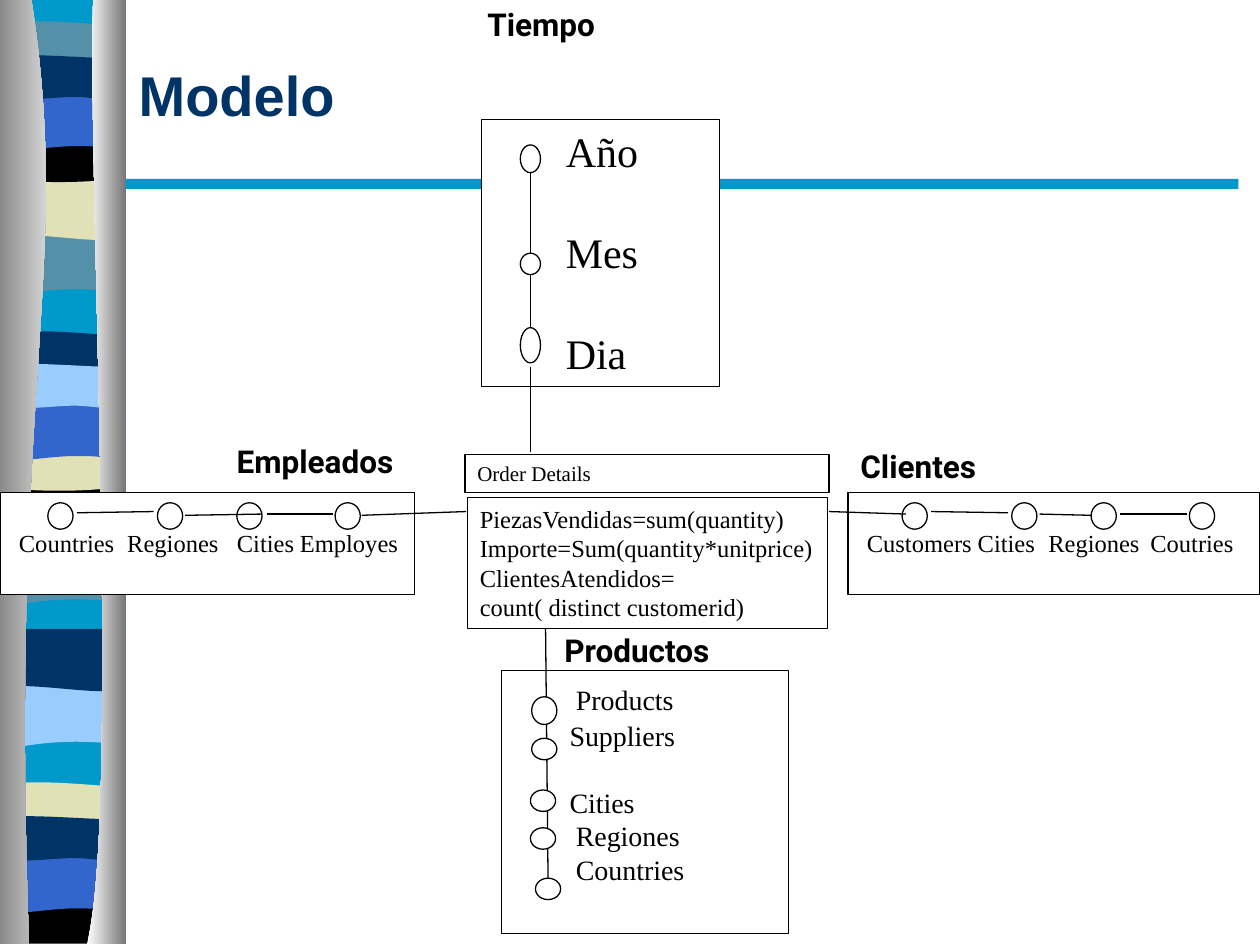
from lxml.etree import SubElement
from pptx import Presentation
from pptx.dml.color import RGBColor
from pptx.enum.shapes import MSO_CONNECTOR, MSO_SHAPE
from pptx.enum.text import MSO_ANCHOR, PP_ALIGN
from pptx.oxml.ns import qn
from pptx.oxml.xmlchemy import OxmlElement
from pptx.util import Inches, Pt

BLACK = RGBColor(0x00, 0x00, 0x00)
WHITE = RGBColor(0xFF, 0xFF, 0xFF)
NAVY = RGBColor(0x00, 0x33, 0x66)
BLUE = RGBColor(0x33, 0x66, 0xCC)
CYAN = RGBColor(0x00, 0x99, 0xCC)
SKY = RGBColor(0x99, 0xCC, 0xFF)
TEAL = RGBColor(0x54, 0x90, 0xA8)
SAND = RGBColor(0xE1, 0xE1, 0xB7)
GREY = RGBColor(0x76, 0x76, 0x76)

# Band outlines relative to their top: two numbers end a line, six a Bezier curve
FLAT = [(0.98, 0), (0.98, 7.47), (-0.05, 7.47), (-0.05, 0)]
WAVE = [(0.98, 0), (0.98, 0.47), (0.27, 0.39, 0.13, 0.55, -0.05, 0.47), (-0.05, 0)]
SWELL = [(0.98, 0), (0.98, 0.47), (0.81, 0.55, 0.27, 0.41, -0.05, 0.47), (-0.05, 0)]
CREST = [(0.98, 0.05), (0.98, 0.29), (0.81, 0.33, 0.13, 0.33, -0.05, 0.29), (-0.05, 0.05),
         (0.02, 0, 0.18, 0.01, 0.35, 0.01), (0.52, 0.01, 0.85, 0.04, 0.98, 0.05)]
BOWL = [(0.98, 0), (0.98, 0.32), (0.81, 0.38, 0.13, 0.38, -0.05, 0.32), (-0.05, 0),
        (0.58, 0.05, 0.77, 0, 0.98, 0)]
BASE = [(0.97, 0), (0.97, 0.37), (-0.05, 0.37), (-0.05, 0), (0.58, 0.05, 0.76, 0, 0.97, 0)]
ARCH = [(0.98, 0), (0.98, 0.47), (0.82, 0.42, 0.76, 0.42, 0.59, 0.42),
        (0.42, 0.42, 0.11, 0.47, -0.05, 0.47), (-0.05, 0)]
TILT = [(0.98, 0.05), (0.98, 0.36), (0.92, 0.41, 0.76, 0.36, 0.59, 0.36),
        (0.42, 0.36, 0.06, 0.41, -0.05, 0.36), (-0.05, 0.05),
        (0.1, 0, 0.65, 0.05, 0.82, 0.05), (0.99, 0.05, 0.95, 0.05, 0.98, 0.05)]
LEFT_EDGE = [(0.25, 0), (0.58, 2.16, 0.07, 2.96, 0.23, 7.49), (-0.1, 7.49), (-0.1, 0)]
RIGHT_EDGE = [(0.74, 0), (0.69, 1.25, 0.96, 6.46, 0.69, 7.49), (1, 7.49), (1, 0)]

BANDS = [
    (FLAT, 0, CYAN), (WAVE, 1.85, TEAL), (SWELL, 1.41, SAND), (CREST, 0.16, TEAL),
    (BOWL, 1.08, BLACK), (ARCH, 0.74, BLUE), (TILT, 0.41, NAVY),
    (WAVE, 4.31, TEAL), (SWELL, 3.86, BLACK), (CREST, 2.62, NAVY),
    (BOWL, 3.53, SAND), (ARCH, 3.2, BLUE), (TILT, 2.86, SKY),
    (WAVE, 5.44, SKY), (SWELL, 4.99, NAVY), (CREST, 6.2, SAND),
    (BASE, 7.12, BLACK), (ARCH, 6.79, BLUE), (TILT, 6.45, NAVY),
]


def bend_curves(shape, outline):
    """Join each three lines that stand for a curve's points into one Bezier segment."""
    lines = iter(list(shape._element.iter(qn("a:lnTo"))))
    for segment in outline[1:]:
        parts = [next(lines) for _ in range(len(segment) // 2)]
        if len(parts) == 3:
            curve = OxmlElement("a:cubicBezTo")
            parts[0].addprevious(curve)
            for part in parts:
                curve.append(part[0])
                part.getparent().remove(part)


def add_outline(slide, outline, top=0):
    points = [(Inches(segment[i]), Inches(top + segment[i + 1]))
              for segment in outline for i in range(0, len(segment), 2)]
    builder = slide.shapes.build_freeform(*points[0], scale=1.0)
    builder.add_line_segments(points[1:], close=False)
    builder.add_line_segments([], close=True)
    shape = builder.convert_to_shape()
    bend_curves(shape, outline)
    shape.shadow.inherit = False
    shape.line.fill.background()
    return shape


def add_edge(slide, outline, colors):
    fill = add_outline(slide, outline).fill
    fill.gradient()
    fill.gradient_angle = 0
    for stop, color in zip(fill.gradient_stops, colors):
        stop.color.rgb = color


def add_preset(slide, kind, box, fill=None, line=BLACK):
    shape = slide.shapes.add_shape(kind, *map(Inches, box))
    shape.shadow.inherit = False
    if fill is None:
        shape.fill.background()
    else:
        shape.fill.solid()
        shape.fill.fore_color.rgb = fill
    if line is None:
        shape.line.fill.background()
    else:
        shape.line.color.rgb = line
        shape.line.width = Pt(0.75)
    return shape


def add_node(slide, left, top, width=0.2, height=0.21, fill=WHITE):
    add_preset(slide, MSO_SHAPE.OVAL, (left, top, width, height), fill)


def add_line(slide, x1, y1, x2, y2):
    line = slide.shapes.add_connector(MSO_CONNECTOR.STRAIGHT, *map(Inches, (x1, y1, x2, y2)))
    line.line.color.rgb = BLACK
    line.line.width = Pt(0.75)
    SubElement(line._element.spPr, qn("a:effectLst"))


def write(shape, lines, size, name="Times New Roman", color=BLACK, bold=False):
    frame = shape.text_frame
    frame.text = "\n".join(lines)
    for paragraph in frame.paragraphs:
        paragraph.alignment = PP_ALIGN.LEFT
        for run in paragraph.runs:
            run.font.size = Pt(size)
            run.font.name = name
            run.font.bold = bold
            run.font.color.rgb = color
    return frame


def add_box(slide, box, lines, size, fill=None, wrap=True):
    shape = add_preset(slide, MSO_SHAPE.RECTANGLE, box, fill)
    frame = write(shape, lines, size)
    frame.vertical_anchor = MSO_ANCHOR.TOP
    frame.word_wrap = wrap
    return frame


def add_heading(slide, text, box):
    shape = slide.shapes.add_textbox(*map(Inches, box))
    write(shape, [text], 18, "Roboto", bold=True).word_wrap = False


def add_level_row(slide, box, names, tabs, first_node, fill=None):
    """A dimension whose levels stand side by side."""
    frame = add_box(slide, box, ["\t".join(names)], 14, fill)
    frame.margin_left, frame.margin_top = Inches(0.15), Inches(0.28)
    properties = frame.paragraphs[0]._p.get_or_add_pPr()
    tab_list = SubElement(properties, qn("a:tabLst"))
    for tab in tabs:
        SubElement(tab_list, qn("a:tab"), pos=str(Inches(tab)), algn="l")
    for offset in (0, 0.87, 1.5, 2.28):
        add_node(slide, first_node + offset, 3.99, fill=None if offset else WHITE)


def add_ribbon(slide):
    for outline, top, color in BANDS:
        shape = add_outline(slide, outline, top)
        shape.fill.solid()
        shape.fill.fore_color.rgb = color
    add_edge(slide, LEFT_EDGE, (GREY, WHITE))
    add_edge(slide, RIGHT_EDGE, (WHITE, GREY))


def add_title(slide):
    title = slide.shapes.title
    title.left, title.top, title.width, title.height = map(Inches, (1, 0.12, 8.78, 1.25))
    write(title, ["Modelo"], 32, "Arial", NAVY, True).vertical_anchor = MSO_ANCHOR.MIDDLE


def add_time(slide):
    frame = add_box(slide, (3.82, 0.95, 1.89, 2.12), ["Año", "Mes", "Dia"], 24, WHITE)
    frame.margin_left = Inches(0.67)
    for paragraph in frame.paragraphs[1:]:
        paragraph.space_before = Pt(28.8)
    for top, height in ((1.15, 0.22), (2.01, 0.17), (2.6, 0.28)):
        add_node(slide, 4.13, top, 0.16, height)
    for start, end in ((1.37, 2.01), (2.18, 2.6), (2.91, 3.59)):
        add_line(slide, 4.21, start, 4.21, end)


def add_products(slide):
    add_line(slide, 4.33, 4.99, 4.35, 6.97)
    names = ["Products", "Suppliers", "Cities", "Regiones", "Countries"]
    frame = add_box(slide, (3.98, 5.32, 2.28, 2.09), names, 16)
    frame.margin_left, frame.margin_top = Inches(0.54), Inches(0.1)
    for index in (0, 3, 4):
        frame.paragraphs[index]._p.get_or_add_pPr().set("marL", str(Inches(0.05)))
    frame.paragraphs[1].space_before = Pt(1)
    frame.paragraphs[2].space_before = Pt(19)
    add_node(slide, 4.22, 5.53, height=0.22)
    for left, top, fill in ((4.22, 5.86, WHITE), (4.21, 6.27, WHITE),
                            (4.21, 6.57, WHITE), (4.25, 6.97, None)):
        add_node(slide, left, top, height=0.17, fill=fill)


def main():
    presentation = Presentation()
    presentation.slide_width, presentation.slide_height = Inches(10), Inches(7.5)
    slide = presentation.slides.add_slide(presentation.slide_layouts[5])

    # Decoration and title
    add_ribbon(slide)
    add_preset(slide, MSO_SHAPE.RECTANGLE, (1, 1.42, 8.83, 0.08), CYAN, None)
    add_title(slide)

    # Fact table
    add_box(slide, (3.69, 3.61, 2.89, 0.3), ["Order Details"], 12)
    add_box(slide, (3.71, 3.95, 2.86, 1.04),
            ["PiezasVendidas=sum(quantity)", "Importe=Sum(quantity*unitprice)",
             "ClientesAtendidos=", "count( distinct customerid)"], 14, wrap=False)

    # Dimensions
    add_time(slide)
    add_products(slide)
    add_level_row(slide, (6.73, 3.91, 3.27, 0.81),
                  ["Customers", "Cities", "Regiones", "Coutries"], (0.88, 1.44, 2.25), 7.16)
    add_level_row(slide, (0, 3.91, 3.29, 0.81),
                  ["Countries", "Regiones", "Cities", "Employes"], (0.86, 1.73, 2.23), 0.38, WHITE)
    for ends in ((7.19, 4.08, 6.58, 4.06), (8, 4.07, 7.39, 4.06),
                 (8.66, 4.09, 8.25, 4.08), (9.42, 4.08, 8.89, 4.08),
                 (0.61, 4.07, 1.22, 4.06), (1.47, 4.09, 2.08, 4.08),
                 (2.12, 4.08, 2.64, 4.08), (2.87, 4.09, 3.7, 4.06)):
        add_line(slide, *ends)

    # Dimension headings
    add_heading(slide, "Tiempo", (3.77, -0.01, 1.14, 0.4))
    add_heading(slide, "Clientes", (6.73, 3.5, 1.22, 0.4))
    add_heading(slide, "Productos", (4.38, 4.96, 1.48, 0.4))
    add_heading(slide, "Empleados", (1.78, 3.46, 1.58, 0.4))

    presentation.save("out.pptx")


if __name__ == "__main__":
    main()
